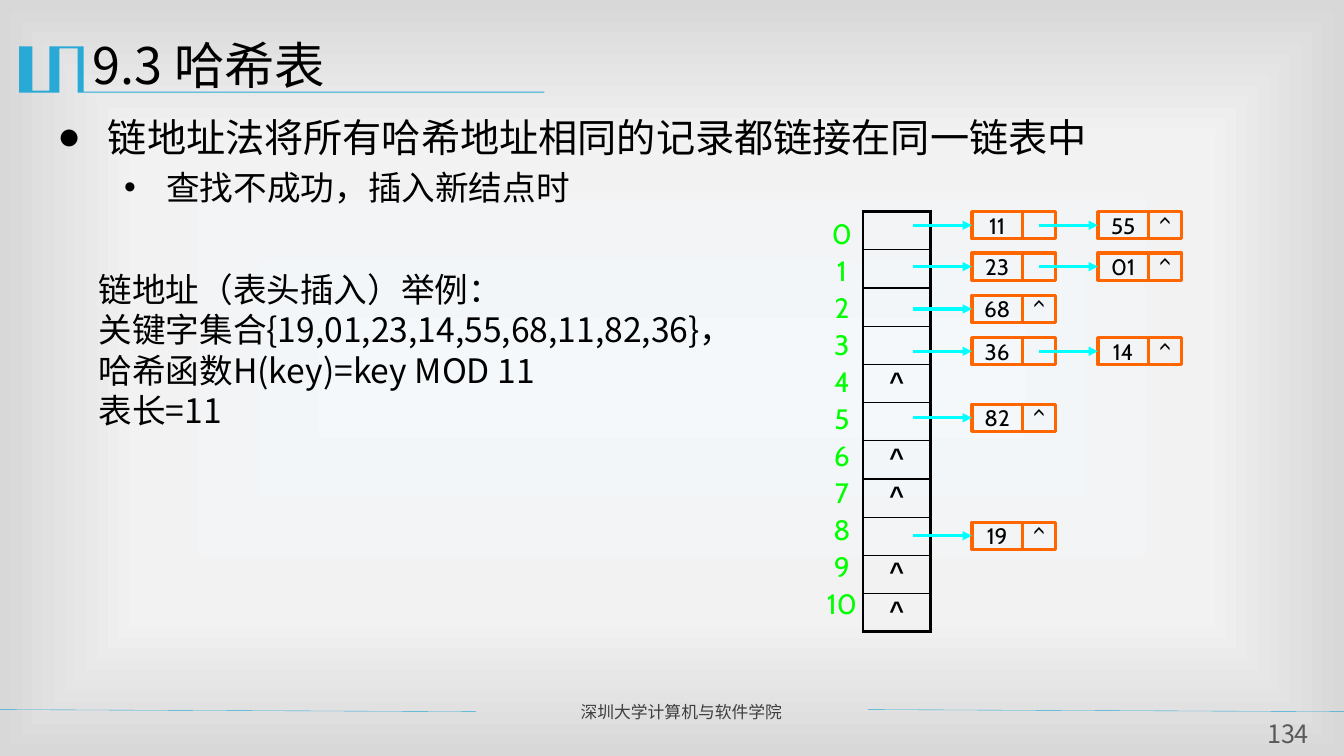
from lxml import etree
from pptx import Presentation
from pptx.dml.color import RGBColor
from pptx.enum import shapes, text
from pptx.oxml import parse_xml
from pptx.oxml.ns import nsdecls, qn
from pptx.util import Inches, Pt

CJK, LATIN, SYMBOL = "Noto Sans CJK SC", "Cabin", "Arial"
COLORS = {
    "black": "000000", "accent": "28A9D6", "footer": "3F3F3F",
    "number": "595959", "index": "00FF00", "node": "FF6600", "arrow": "00FFFF",
    "bg_in": "F4F8FB", "bg_mid": "F2F2F2", "bg_out": "D8D8D8",
}
SLOTS, TABLE_TOP, TABLE_H = 11, 2.1, 4.17
KEY_W, LINK_W, NODE_H = 0.5, 0.33, 0.27
NODE_X, NODE_STEP, ARROW_X = 9.64, 1.25, 9.06
# slot: (top of its nodes, keys in the chain)
CHAINS = {
    0: (2.1, ["11", "55"]), 1: (2.51, ["23", "01"]), 2: (2.93, ["68"]),
    3: (3.35, ["36", "14"]), 5: (4.01, ["82"]), 8: (5.18, ["19"]),
}


def rgb(name):
    return RGBColor.from_string(COLORS[name])


def box(lengths):
    return [Inches(v) for v in lengths]


def add_run(p, words, size, font=CJK, color="black", bold=False):
    r = p.add_run()
    r.text = words
    r.font.size, r.font.name, r.font.bold = Pt(size), font, bold
    r.font.color.rgb = rgb(color)
    etree.SubElement(r.font._element, qn("a:ea")).set("typeface", font)


def setup_frame(tf, inset=(0.1, 0.05)):
    tf.word_wrap = True
    tf.auto_size = text.MSO_AUTO_SIZE.NONE
    tf.vertical_anchor = text.MSO_ANCHOR.TOP
    tf.margin_left = tf.margin_right = Inches(inset[0])
    tf.margin_top = tf.margin_bottom = Inches(inset[1])


def write_lines(tf, lines, size, font=CJK, color="black",
                align=text.PP_ALIGN.LEFT, gap=0):
    for i, words in enumerate(lines):
        p = tf.paragraphs[0] if i == 0 else tf.add_paragraph()
        p.alignment = align
        p.space_before = Pt(gap if i else 0)
        if font == CJK:
            p.line_spacing = Pt(size * 1.2)
        add_run(p, words, size, font, color)


def add_text(s, at, lines, size, inset=(0.1, 0.05), **style):
    tf = s.shapes.add_textbox(*box(at)).text_frame
    setup_frame(tf, inset)
    write_lines(tf, lines, size, **style)


def place(sp, at):
    sp.left, sp.top, sp.width, sp.height = box(at)
    setup_frame(sp.text_frame)
    return sp.text_frame


def set_bullet(p, mark, left, hang):
    pPr = p._p.get_or_add_pPr()
    pPr.set("marL", str(Inches(left)))
    pPr.set("indent", str(-Inches(hang)))
    etree.SubElement(pPr, qn("a:buFont")).set("typeface", SYMBOL)
    etree.SubElement(pPr, qn("a:buChar")).set("char", mark)


def add_line(s, start, end, color, width, arrow=False):
    c = s.shapes.add_connector(shapes.MSO_CONNECTOR.STRAIGHT, *box(start + end))
    c.line.color.rgb, c.line.width = rgb(color), Pt(width)
    if arrow:
        etree.SubElement(c.line._get_or_add_ln(), qn("a:tailEnd")).set("type", "triangle")
    etree.SubElement(c._element.spPr, qn("a:effectLst"))
    return c


def add_cell_box(s, at, words):
    sp = s.shapes.add_shape(shapes.MSO_SHAPE.RECTANGLE, *box(at))
    sp.shadow.inherit = False
    sp.fill.background()
    sp.line.color.rgb, sp.line.width = rgb("node"), Pt(2.25)
    setup_frame(sp.text_frame, (0, 0))
    if words:
        write_lines(sp.text_frame, [words], 16, LATIN, align=text.PP_ALIGN.CENTER)
    return sp


def add_chain(s, top, keys):
    middle = top + NODE_H / 2
    for i, key in enumerate(keys):
        x = NODE_X + i * NODE_STEP
        node = add_cell_box(s, (x, top, KEY_W, NODE_H), key)
        end_mark = "^" if i == len(keys) - 1 else ""
        add_cell_box(s, (x + KEY_W, top, LINK_W, NODE_H), end_mark)
        start = (ARROW_X + i * NODE_STEP, middle)
        add_line(s, start, (x, middle), "arrow", 2.25, True).end_connect(node, 1)


def set_borders(cell, widths):
    tcPr = cell._tc.get_or_add_tcPr()
    for i, (side, width) in enumerate(widths.items()):
        tcPr.insert(i, parse_xml(
            f'<a:ln{side} {nsdecls("a")} w="{Pt(width)}"><a:solidFill>'
            f'<a:srgbClr val="{COLORS["black"]}"/></a:solidFill></a:ln{side}>'))


def add_hash_table(s):
    frame = s.shapes.add_table(SLOTS, 1, *box((8.56, TABLE_TOP, 0.67, TABLE_H)))
    table = frame.table
    table.first_row = table.horz_banding = False
    for slot in range(SLOTS):
        table.rows[slot].height = Inches(TABLE_H / SLOTS)
        cell = table.cell(slot, 0)
        cell.margin_top = cell.margin_bottom = 0
        cell.fill.background()
        set_borders(cell, {"L": 2.25, "R": 2.25, "T": 1 if slot else 2.25,
                           "B": 2.25 if slot == SLOTS - 1 else 1})
        if slot not in CHAINS:
            p = cell.text_frame.paragraphs[0]
            p.alignment, p.line_spacing = text.PP_ALIGN.CENTER, 1.1
            add_run(p, "^", 18, SYMBOL, bold=True)


def set_background(s):
    stops = "".join(f'<a:gs pos="{pos}"><a:srgbClr val="{COLORS[name]}"/></a:gs>'
                    for pos, name in ((0, "bg_in"), (63000, "bg_mid"), (100000, "bg_out")))
    s._element.cSld.insert(0, parse_xml(
        f'<p:bg {nsdecls("p", "a")}><p:bgPr><a:gradFill rotWithShape="1">'
        f'<a:gsLst>{stops}</a:gsLst><a:path path="rect"><a:fillToRect l="50000" '
        't="50000" r="50000" b="50000"/></a:path></a:gradFill><a:effectLst/>'
        '</p:bgPr></p:bg>'))


def add_title_mark(s):
    points = [(0.83, 0.46), (0.83, 0.91), (5.4, 0.91), (5.4, 0.92), (0.77, 0.92),
              (0.77, 0.48), (0.59, 0.48), (0.59, 0.92), (0.19, 0.92), (0.19, 0.46),
              (0.32, 0.46), (0.32, 0.9), (0.49, 0.9), (0.49, 0.46)]
    outline = s.shapes.build_freeform(*box(points[0]))
    outline.add_line_segments([box(pt) for pt in points[1:]], close=True)
    sp = outline.convert_to_shape()
    sp.shadow.inherit = False
    sp.fill.solid()
    sp.fill.fore_color.rgb = rgb("accent")
    sp.line.fill.background()


def main():
    prs = Presentation()
    prs.slide_width, prs.slide_height = Inches(13.33), Inches(7.5)
    s = prs.slides.add_slide(prs.slide_layouts[1])

    # Background, title mark and footer
    set_background(s)
    add_title_mark(s)
    for left, right in ((0, 4.72), (8.61, 13.33)):
        add_line(s, (left, 7.04), (right, 7.06), "accent", 0.25)
    add_text(s, (5.66, 6.91, 2.85, 0.3), ["深圳大学计算机与软件学院"], 12, color="footer")
    add_text(s, (12.48, 7.13, 0.59, 0.31), ["134"], 18, inset=(0, 0),
             color="number", align=text.PP_ALIGN.CENTER)

    # Title and list
    write_lines(place(s.shapes.title, (0.82, 0.29, 12, 0.87)), ["9.3 哈希表"], 36)
    tf = place(s.placeholders[1], (0.47, 1.07, 12.13, 1.55))
    write_lines(tf, ["链地址法将所有哈希地址相同的记录都链接在同一链表中"], 28)
    set_bullet(tf.paragraphs[0], "●", 0.5, 0.5)
    p = tf.add_paragraph()
    p.level, p.space_before, p.line_spacing = 1, Pt(4.8), Pt(28.8)
    set_bullet(p, "•", 1.08, 0.42)
    add_run(p, "查找不成功，插入新结点时", 24)

    # Worked example
    add_text(s, (0.88, 2.62, 6.8, 2.7),
             ["链地址（表头插入）举例：", "关键字集合{19,01,23,14,55,68,11,82,36}，",
              "哈希函数H(key)=key MOD 11", "表长=11"], 24)

    # Hash table with its chains
    add_hash_table(s)
    add_text(s, (8.06, TABLE_TOP, 0.58, 4.24), [str(i) for i in range(SLOTS)], 20,
             font=LATIN, color="index", align=text.PP_ALIGN.CENTER, gap=2.4)
    for top, keys in CHAINS.values():
        add_chain(s, top, keys)

    prs.save("out.pptx")


if __name__ == "__main__":
    main()
